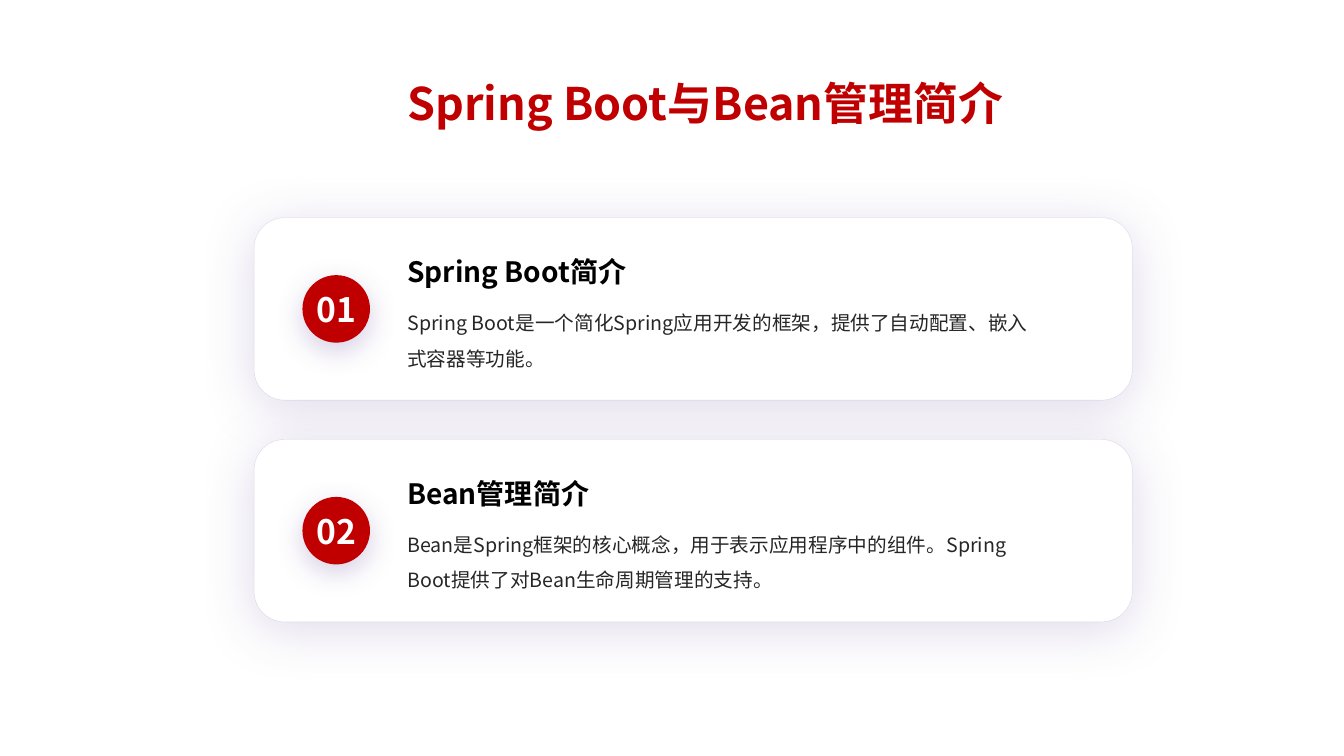
"""Build a slide introducing Spring Boot and Bean management with two numbered cards."""
from lxml.etree import SubElement
from pptx import Presentation
from pptx.dml.color import RGBColor
from pptx.enum.shapes import MSO_SHAPE
from pptx.enum.text import MSO_ANCHOR, PP_ALIGN
from pptx.oxml.ns import qn
from pptx.util import Inches, Pt

FONT = "Noto Sans CJK JP"
COLORS = {
    "red": "C00000",
    "white": "FFFFFF",
    "black": "000000",
    "body": "262626",
    "purple": "63489A",
}
CARDS = [
    ("01", "Spring Boot简介",
     "Spring Boot是一个简化Spring应用开发的框架，提供了自动配置、嵌入式容器等功能。"),
    ("02", "Bean管理简介",
     "Bean是Spring框架的核心概念，用于表示应用程序中的组件。Spring Boot提供了对Bean生命周期管理的支持。"),
]


def write(shape, text, size, color, bold=False, align=PP_ALIGN.LEFT,
          anchor=MSO_ANCHOR.TOP, spacing=None, wrap=True):
    frame = shape.text_frame
    frame.margin_left = frame.margin_right = frame.margin_top = frame.margin_bottom = 0
    frame.word_wrap = wrap
    frame.vertical_anchor = anchor
    paragraph = frame.paragraphs[0]
    paragraph.text = text
    paragraph.alignment = align
    paragraph.line_spacing = spacing
    paragraph.font.name = FONT
    paragraph.font.size = Pt(size)
    paragraph.font.bold = bold
    paragraph.font.color.rgb = RGBColor.from_string(COLORS[color])
    defaults = paragraph._p.pPr.find(qn("a:defRPr"))
    SubElement(defaults, qn("a:ea"), typeface=FONT)


def fill_with_shadow(shape, color, opacity, blur):
    shape.fill.solid()
    shape.fill.fore_color.rgb = RGBColor.from_string(COLORS[color])
    shape.shadow.inherit = False
    effects = shape._element.spPr.find(qn("a:effectLst"))
    shadow = SubElement(effects, qn("a:outerShdw"), blurRad=str(Pt(blur)),
                        dist=str(Pt(6)), dir="5400000", algn="t", rotWithShape="0")
    tint = SubElement(shadow, qn("a:srgbClr"), val=COLORS["purple"])
    SubElement(tint, qn("a:alpha"), val=str(opacity * 1000))


presentation = Presentation()
presentation.slide_width = Inches(13.33)
presentation.slide_height = Inches(7.5)
slide = presentation.slides.add_slide(presentation.slide_layouts[6])
shapes = slide.shapes

title = shapes.add_textbox(Inches(3.38), Inches(0.58), Inches(6.57), Inches(0.72))
write(title, "Spring Boot与Bean管理简介", 32, "red", bold=True,
      align=PP_ALIGN.RIGHT, anchor=MSO_ANCHOR.BOTTOM, spacing=0.96)

for index, (number, heading, description) in enumerate(CARDS):
    top = 2.16 + index * 2.2

    card = shapes.add_shape(MSO_SHAPE.ROUNDED_RECTANGLE, Inches(2.52), Inches(top),
                            Inches(8.71), Inches(1.81))
    fill_with_shadow(card, "white", 20, 40)
    card.line.width = Pt(0.25)
    card.line.color.rgb = RGBColor.from_string(COLORS["purple"])
    outline = card.line._ln.find(qn("a:solidFill")).find(qn("a:srgbClr"))
    SubElement(outline, qn("a:alpha"), val="20000")

    badge = shapes.add_shape(MSO_SHAPE.OVAL, Inches(3), Inches(top + 0.57),
                             Inches(0.67), Inches(0.67))
    fill_with_shadow(badge, "red", 25, 20)
    badge.line.fill.background()
    write(badge, number, 24, "white", bold=True, align=PP_ALIGN.CENTER,
          anchor=MSO_ANCHOR.MIDDLE, wrap=False)

    body = shapes.add_textbox(Inches(4.04), Inches(top + 0.81), Inches(6.25), Inches(0.71))
    write(body, description, 14, "body", spacing=1.5)

    label = shapes.add_textbox(Inches(4.04), Inches(top + 0.25), Inches(6.25), Inches(0.45))
    write(label, heading, 20, "black", bold=True, anchor=MSO_ANCHOR.BOTTOM)

presentation.save("out.pptx")
